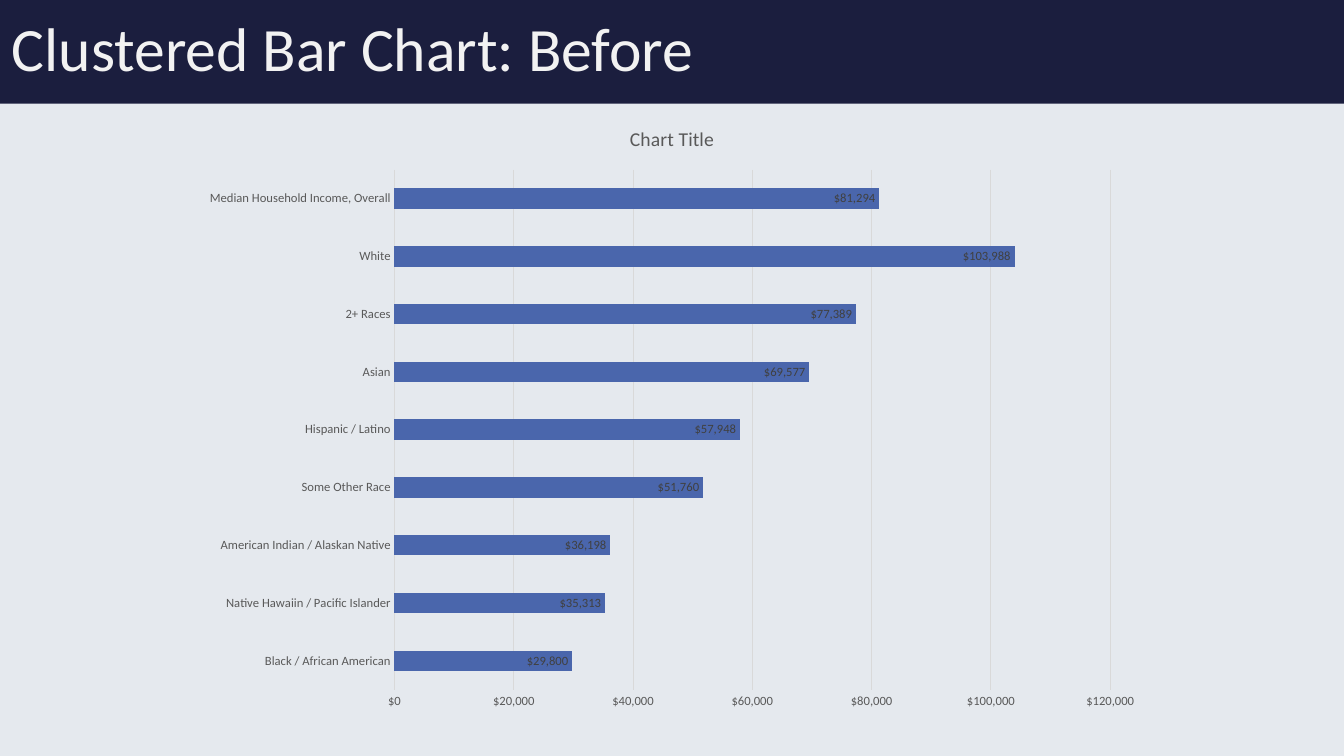
from pptx import Presentation
from pptx.chart.data import CategoryChartData
from pptx.dml.color import RGBColor
from pptx.enum.chart import XL_CHART_TYPE, XL_LABEL_POSITION, XL_TICK_MARK
from pptx.enum.shapes import MSO_SHAPE
from pptx.enum.text import MSO_ANCHOR
from pptx.util import Inches, Pt


def tint(part, code):
    """Give a fill, or the fill of a line, one solid colour."""
    part.solid()
    part.fore_color.rgb = RGBColor.from_string(code)


def write(frame, text, size, color, gap=1.0):
    """Put one formatted line of text in a text frame."""
    para = frame.paragraphs[0]
    para.line_spacing = gap
    run = para.add_run()
    run.text = text
    run.font.name = "Calibri"
    run.font.size = Pt(size)
    run.font.bold = False
    tint(run.font.fill, color)


deck = Presentation()
deck.slide_width, deck.slide_height = Inches(13.33), Inches(7.5)
slide = deck.slides.add_slide(deck.slide_layouts[6])
wide, high = deck.slide_width, deck.slide_height
head = Inches(1.03)

# Backdrop and header band
for tall, code in ((high, "E5E9EE"), (head, "1B1E3E")):
    band = slide.shapes.add_shape(MSO_SHAPE.RECTANGLE, 0, 0, wide, tall)
    band.shadow.inherit = False
    tint(band.fill, code)
    band.line.fill.background()

# Slide title
box = slide.shapes.add_textbox(Inches(0.02), Inches(-0.21), Inches(11.5), Inches(1.45))
box.text_frame.word_wrap = True
box.text_frame.vertical_anchor = MSO_ANCHOR.MIDDLE
write(box.text_frame, "Clustered Bar Chart: Before", size=44, color="F2F2F2", gap=0.9)

# Income data, from the bottom bar to the top one
income = {
    "Black / African American": 29800,
    "Native Hawaiin / Pacific Islander": 35313,
    "American Indian / Alaskan Native": 36198,
    "Some Other Race": 51760,
    "Hispanic / Latino": 57948,
    "Asian": 69577,
    "2+ Races": 77389,
    "White": 103988,
    "Median Household Income, Overall": 81294,
}
money = '"$"#,##0'
data = CategoryChartData(number_format=money)
data.categories = list(income)
data.add_series("Series 1", list(income.values()))

# Bar chart, centred below the header
span = Inches(9.55)
chart = slide.shapes.add_chart(
    XL_CHART_TYPE.BAR_CLUSTERED, (wide - span) // 2, head, span, Inches(6.12), data
).chart
chart.font.name = "Calibri"
chart.font.size = Pt(10)
chart.has_legend = False
chart.has_title = True
write(chart.chart_title.text_frame, "Chart Title", size=14, color="595959")
chart.chart_title.include_in_layout = False

# Bars and their labels
plot = chart.plots[0]
plot.gap_width = 182
plot.vary_by_categories = False
bars = plot.series[0]
bars.invert_if_negative = False
tint(bars.format.fill, "4A66AC")
tags = bars.data_labels
tags.show_value = True
tags.position = XL_LABEL_POSITION.INSIDE_END
tags.number_format = money
tags.number_format_is_linked = False

# Axes and grid
names, scale = chart.category_axis, chart.value_axis
for axis in (names, scale):
    axis.major_tick_mark = axis.minor_tick_mark = XL_TICK_MARK.NONE
scale.minimum_scale, scale.maximum_scale, scale.major_unit = 0, 120000, 20000
scale.tick_labels.number_format = money
scale.tick_labels.number_format_is_linked = False
scale.format.line.fill.background()
scale.has_major_gridlines = True
for rule in (names.format.line, scale.major_gridlines.format.line):
    rule.width = Pt(0.75)
    tint(rule.fill, "D9D9D9")

# Small text of the chart
for font, code in (
    (names.tick_labels.font, "595959"),
    (scale.tick_labels.font, "595959"),
    (tags.font, "404040"),
):
    font.name = "Calibri"
    font.size = Pt(9)
    tint(font.fill, code)

deck.save("out.pptx")
